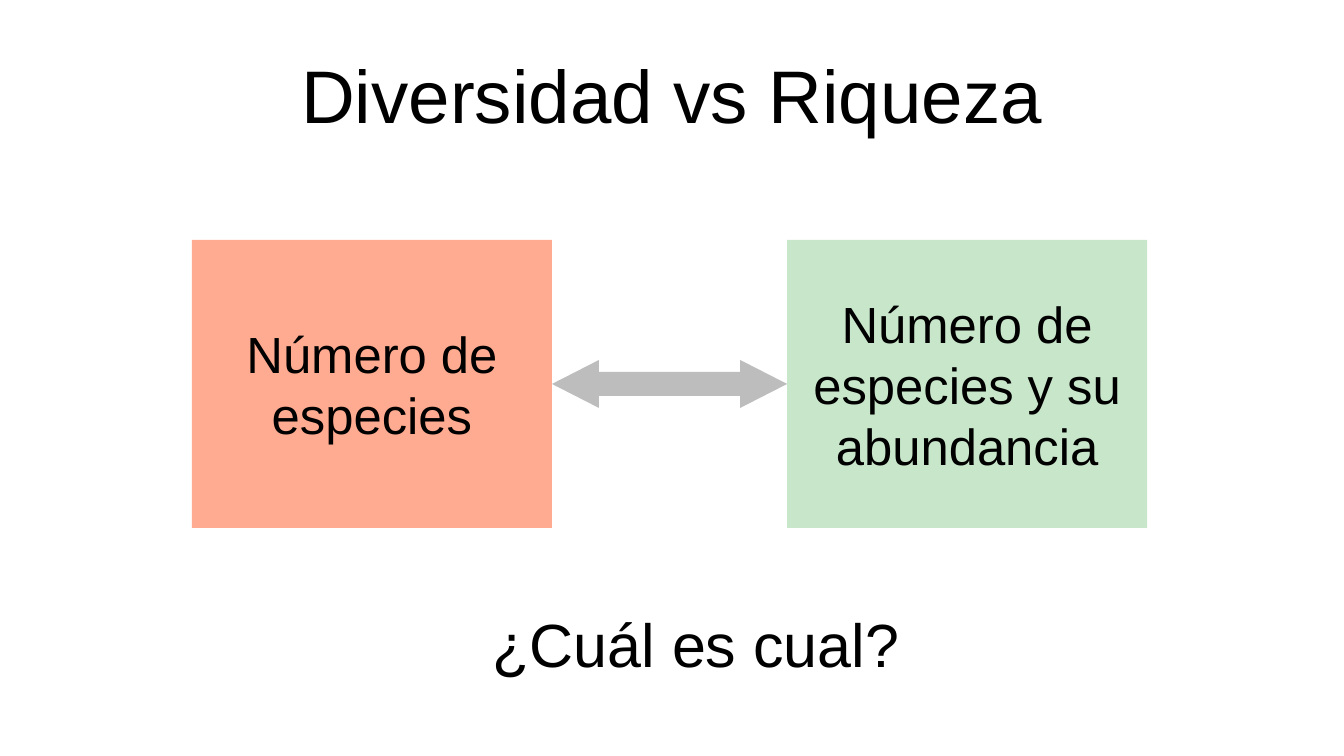
from pptx import Presentation
from pptx.dml.color import RGBColor
from pptx.enum.shapes import MSO_SHAPE
from pptx.enum.text import MSO_ANCHOR, PP_ALIGN
from pptx.util import Cm, Pt

RECT, ARROW = MSO_SHAPE.RECTANGLE, MSO_SHAPE.LEFT_RIGHT_ARROW
TOP, MIDDLE = MSO_ANCHOR.TOP, MSO_ANCHOR.MIDDLE
CENTER = PP_ALIGN.CENTER
TITLE_ONLY = 5
COLORS = {"text": "000000", "richness": "FFAB91", "diversity": "C8E6C9", "arrow": "BDBDBD"}
MARGINS = {"margin_left": 0.25, "margin_top": 0.13, "margin_right": 0.25, "margin_bottom": 0.13}


def write(sp, text, size, anchor=MIDDLE, margins=MARGINS):
    """Put centred text in a shape."""
    tf = sp.text_frame
    tf.word_wrap = True
    tf.vertical_anchor = anchor
    for name, value in margins.items():
        setattr(tf, name, Cm(value))
    p = tf.paragraphs[0]
    p.alignment = CENTER
    r = p.add_run()
    r.text = text
    for name, value in {"name": "Arial", "size": Pt(size)}.items():
        setattr(r.font, name, value)
    r.font.color.rgb = RGBColor.from_string(COLORS["text"])


def add_block(s, kind, color, left, top, width, height):
    """Add a flat filled shape without outline."""
    sp = s.shapes.add_shape(kind, Cm(left), Cm(top), Cm(width), Cm(height))
    sp.shadow.inherit = False
    sp.fill.solid()
    sp.fill.fore_color.rgb = RGBColor.from_string(COLORS[color])
    sp.line.fill.background()
    return sp


def add_title(s, text, left, top, width, height):
    """Place and format the title placeholder."""
    sp = s.shapes.title
    box = {"left": left, "top": top, "width": width, "height": height}
    for name, value in box.items():
        setattr(sp, name, Cm(value))
    write(sp, text, 44, margins=dict.fromkeys(MARGINS, 0))


def add_comparison(s, left, top, width, height):
    """Draw two definitions at the ends of the box and an arrow between them."""
    card_width, arrow_height = 7.5, 1
    cards = [
        ("richness", "Número de especies", left),
        ("diversity", "Número de especies y su abundancia", left + width - card_width),
    ]
    for color, text, x in cards:
        write(add_block(s, RECT, color, x, top, card_width, height), text, 30)
    arrow = add_block(s, ARROW, "arrow", left + card_width, top + (height - arrow_height) / 2,
                      width - 2 * card_width, arrow_height)
    arrow.adjustments[1] = 0.98


def add_question(s, text, left, top, width, height):
    """Add the closing question."""
    sp = s.shapes.add_textbox(Cm(left), Cm(top), Cm(width), Cm(height))
    write(sp, text, 36, TOP)


def main():
    """Build and save the slide."""
    prs = Presentation()
    prs.slide_width, prs.slide_height = Cm(28), Cm(15.75)
    s = prs.slides.add_slide(prs.slide_layouts[TITLE_ONLY])
    add_title(s, "Diversidad vs Riqueza", 1.4, 0.63, 25.2, 2.63)
    add_comparison(s, 4, 5, 19.9, 6)
    add_question(s, "¿Cuál es cual?", 3.5, 12.5, 22, 1.68)
    prs.save("out.pptx")


if __name__ == "__main__":
    main()
